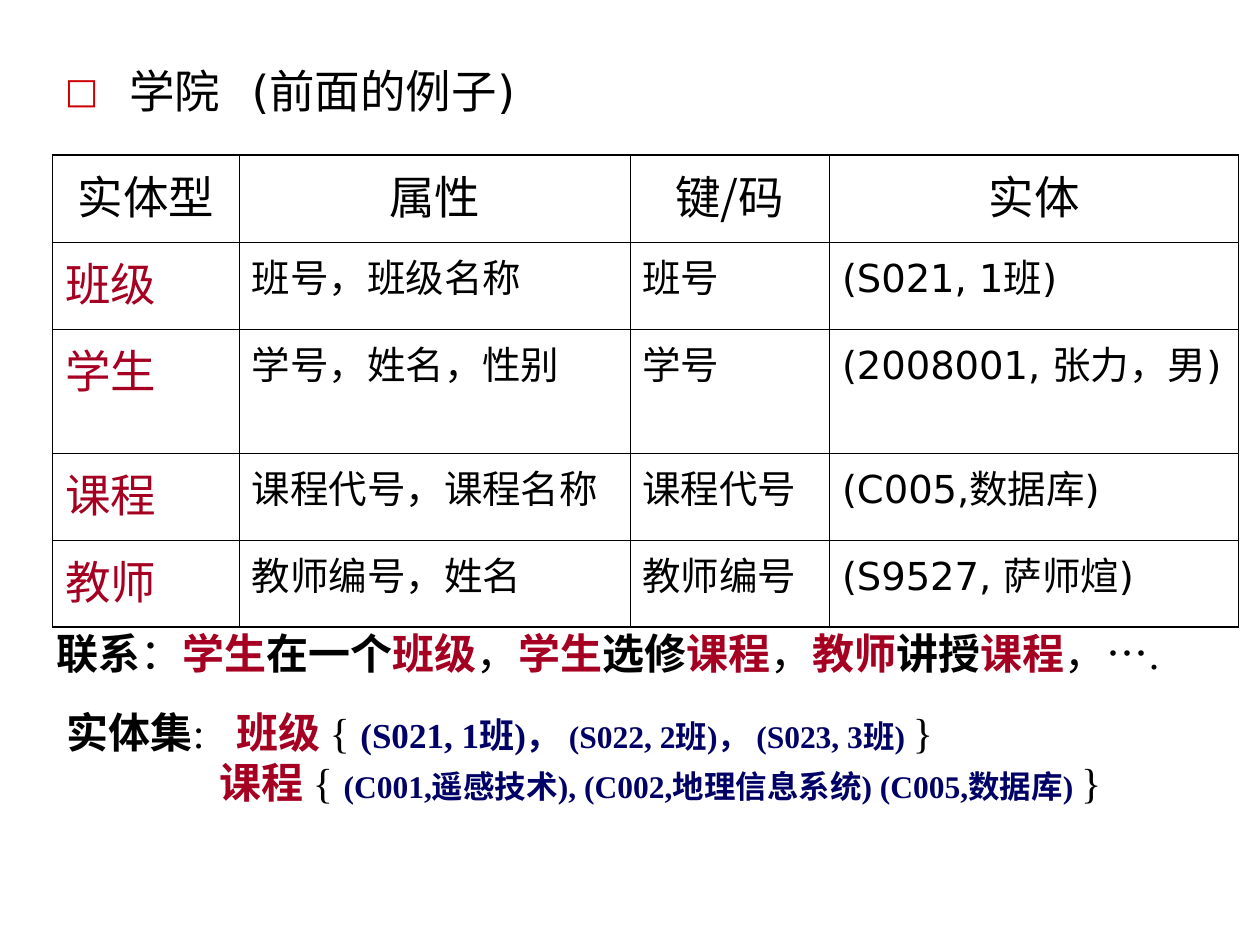
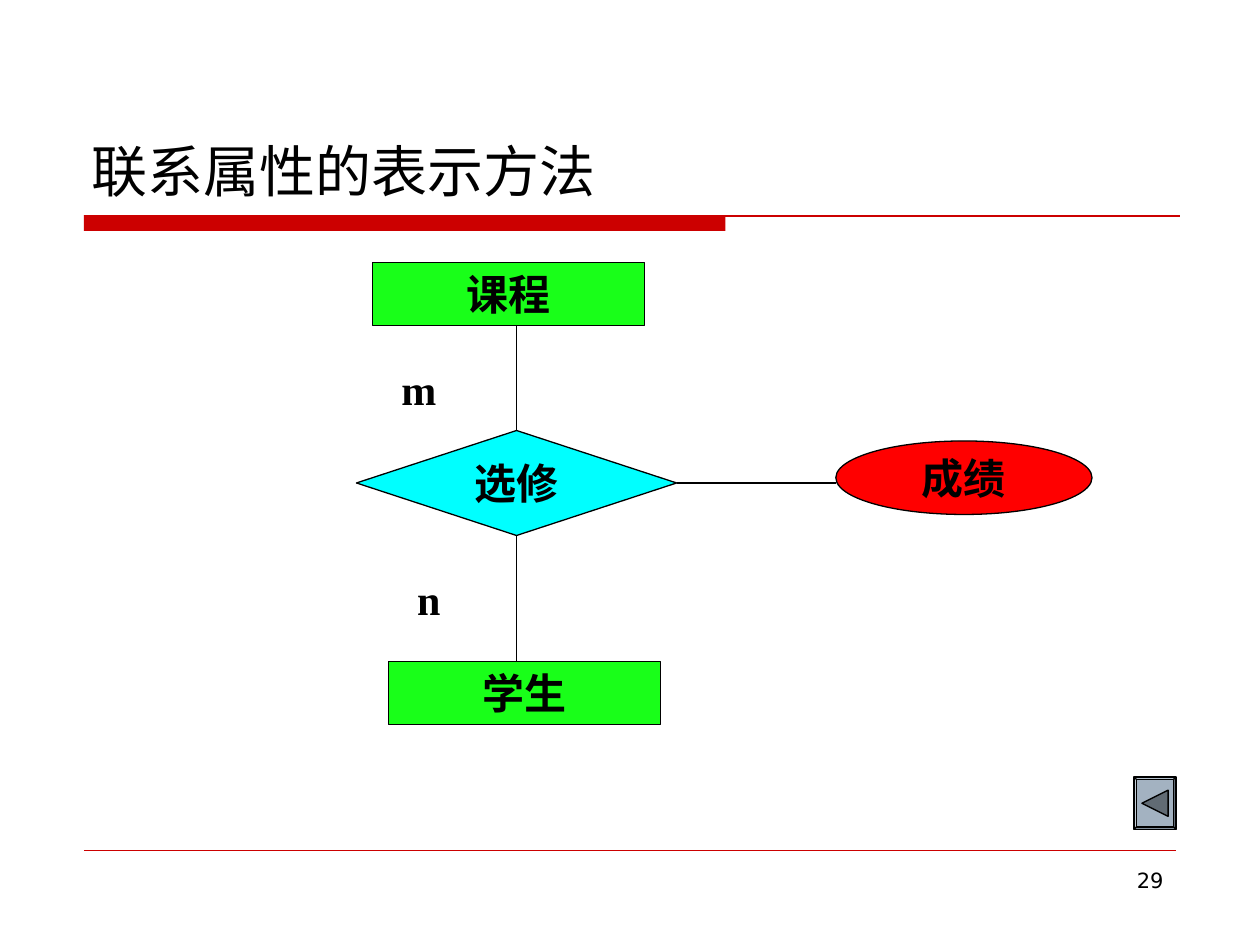
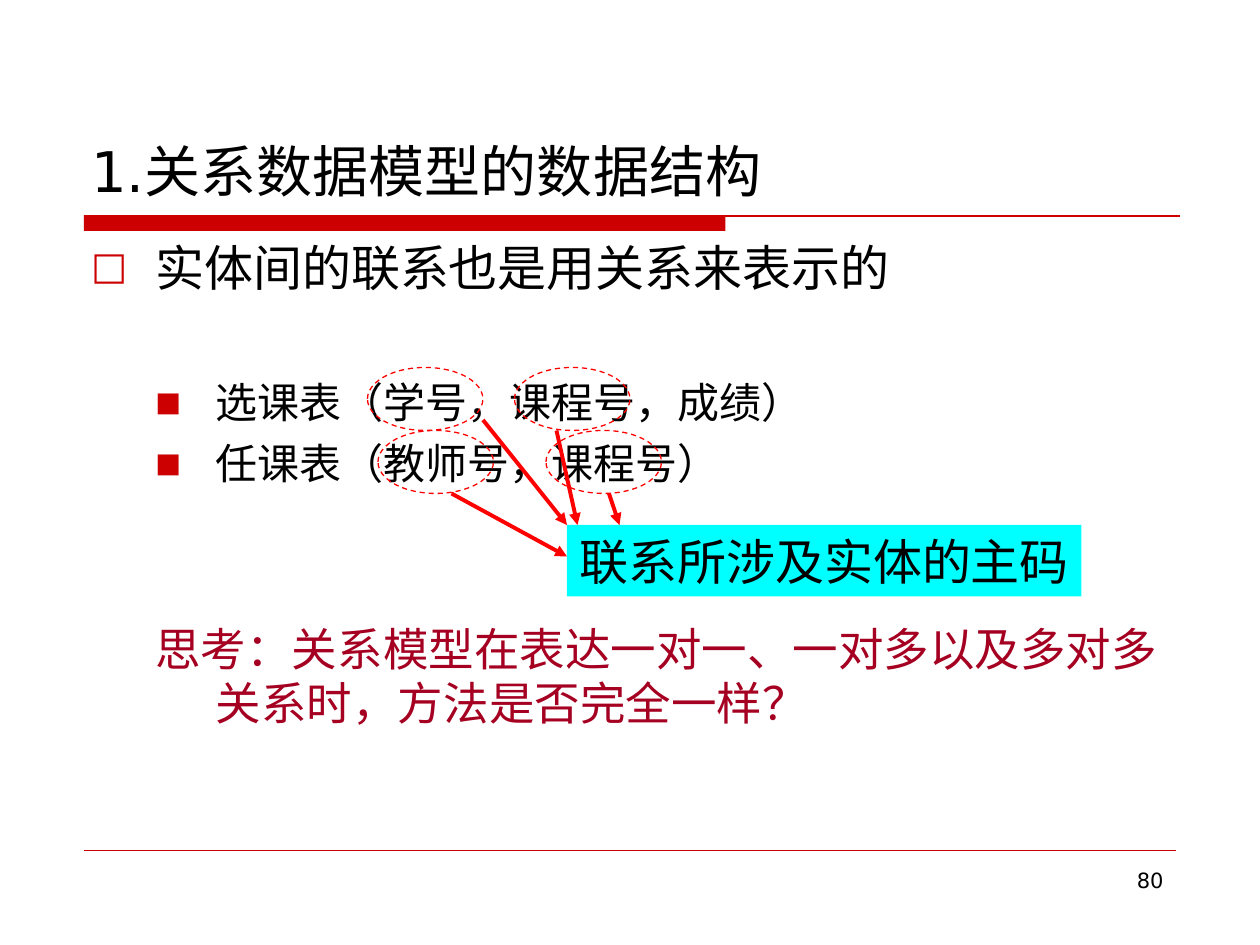
from dataclasses import dataclass
from typing import NamedTuple

from lxml.etree import SubElement
from pptx import Presentation
from pptx.dml.color import RGBColor
from pptx.enum.dml import MSO_LINE
from pptx.enum.shapes import MSO_CONNECTOR, MSO_SHAPE
from pptx.enum.text import MSO_ANCHOR, MSO_AUTO_SIZE, PP_ALIGN
from pptx.oxml import parse_xml
from pptx.oxml.ns import nsdecls, qn
from pptx.util import Emu, Inches, Pt

COLORS = {
    "black": "000000", "brand": "CC0000", "crimson": "A50021", "navy": "000066",
    "green": "00FF00", "cyan": "00FFFF", "red": "FF0000",
    "steel": "A3B2C1", "slate": "616B74",
}
SANS, SERIF, CJK = "DejaVu Sans", "Times New Roman", "Noto Sans CJK SC"
WIDTH, HEIGHT = Inches(10), Inches(7.5)
COLS, ROWS = 120, 90


class Box(NamedTuple):
    """A rectangle in grid columns and rows."""
    x: float
    y: float
    w: float
    h: float


class Run(NamedTuple):
    """A piece of text with one format."""
    text: str
    size: float = 24
    color: str = "black"
    bold: bool = False
    font: str = SERIF


class Bullet(NamedTuple):
    """A bullet sign and its size in percent of the text."""
    sign: str
    percent: int


@dataclass(frozen=True)
class Para:
    """A paragraph with its spacing, indents in inches and bullet."""
    runs: tuple[Run, ...]
    before: float = 0
    left: float = 0
    first: float = 0
    bullet: Bullet | None = None
    spacing: float = 1
    align: PP_ALIGN = PP_ALIGN.LEFT


@dataclass(frozen=True)
class Node:
    """A filled or outlined shape with an optional label."""
    kind: MSO_SHAPE
    box: Box
    fill: str | None
    line: str | None = "black"
    label: Run | None = None
    alpha: int = 100
    dashed: bool = False


class Arrow(NamedTuple):
    """A straight line between two grid points."""
    x1: float
    y1: float
    x2: float
    y2: float


HOLLOW, SOLID = Bullet("□", 78), Bullet("■", 65)
GAP = Run("　", 18)


def gx(n: float) -> Emu:
    """Turn columns into a length."""
    return Emu(round(WIDTH * n / COLS))


def gy(n: float) -> Emu:
    """Turn rows into a length."""
    return Emu(round(HEIGHT * n / ROWS))


def place(box: Box) -> tuple[Emu, Emu, Emu, Emu]:
    """Turn a grid box into left, top, width and height."""
    return gx(box.x), gy(box.y), gx(box.w), gy(box.h)


def rgb(name: str) -> RGBColor:
    """Look up a colour."""
    return RGBColor.from_string(COLORS[name])


def add_bullet(p, bullet: Bullet) -> None:
    """Give a paragraph a coloured bullet."""
    pPr = p._p.get_or_add_pPr()
    SubElement(SubElement(pPr, qn("a:buClr")), qn("a:srgbClr"), val=COLORS["brand"])
    SubElement(pPr, qn("a:buSzPct"), val=str(bullet.percent * 1000))
    SubElement(pPr, qn("a:buFont"), typeface=SANS)
    SubElement(pPr, qn("a:buChar"), char=bullet.sign)


def write(tf, paras: list[Para]) -> None:
    """Fill a text frame run by run."""
    for i, para in enumerate(paras):
        p = tf.add_paragraph() if i else tf.paragraphs[0]
        if para.bullet:
            add_bullet(p, para.bullet)
        pPr = p._p.get_or_add_pPr()
        pPr.set("marL", str(Inches(para.left)))
        pPr.set("indent", str(Inches(para.first)))
        p.alignment = para.align
        p.line_spacing = para.spacing
        p.space_before = Pt(para.before)
        for run in para.runs:
            r = p.add_run()
            r.text = run.text
            r.font.size, r.font.bold = Pt(run.size), run.bold
            r.font.color.rgb = rgb(run.color)
            r.font.name = run.font
            r.font._element.find(qn("a:latin")).addnext(
                parse_xml(f'<a:ea {nsdecls("a")} typeface="{CJK}"/>'))


def add_text(s, box: Box, paras: list[Para]) -> None:
    """Add a wrapping text box."""
    tf = s.shapes.add_textbox(*place(box)).text_frame
    tf.word_wrap = True
    write(tf, paras)


def add_node(s, node: Node):
    """Draw a preset shape."""
    sp = s.shapes.add_shape(node.kind, *place(node.box))
    paint(sp, node.fill, node.line)
    if node.alpha < 100:
        clr = sp._element.spPr.find(qn("a:solidFill"))[0]
        SubElement(clr, qn("a:alpha"), val=str(node.alpha * 1000))
    if node.dashed:
        sp.line.dash_style = MSO_LINE.DASH
    if node.label:
        tf = sp.text_frame
        tf.word_wrap = False
        tf.vertical_anchor = MSO_ANCHOR.MIDDLE
        write(tf, [Para((node.label,), align=PP_ALIGN.CENTER)])
    return sp


def paint(sp, fill: str | None, line: str | None) -> None:
    """Set the fill and line of a shape and drop its shadow."""
    sp.shadow.inherit = False
    if fill:
        sp.fill.solid()
        sp.fill.fore_color.rgb = rgb(fill)
    else:
        sp.fill.background()
    if line:
        sp.line.color.rgb = rgb(line)
        sp.line.width = Pt(0.75)
    else:
        sp.line.fill.background()


def add_line(s, a: Arrow, color: str = "black", width: float = 0.75, head: bool = False):
    """Draw a straight connector."""
    c = s.shapes.add_connector(MSO_CONNECTOR.STRAIGHT, gx(a.x1), gy(a.y1), gx(a.x2), gy(a.y2))
    c.line.color.rgb = rgb(color)
    c.line.width = Pt(width)
    if head:
        SubElement(c.line._get_or_add_ln(), qn("a:tailEnd"), type="triangle")
    SubElement(c._element.spPr, qn("a:effectLst"))
    return c


def titled_slide(prs, title: str, number: int):
    """Start a slide with title, band, footer rule and number."""
    s = prs.slides.add_slide(prs.slide_layouts[5])
    add_node(s, Node(MSO_SHAPE.RECTANGLE, Box(8, 20.5, 61.1, 1.5), "brand", None))
    add_line(s, Arrow(8, 20.55, 112.4, 20.55), "brand", 1)
    add_line(s, Arrow(8, 81, 112, 81), "brand", 0.25)
    add_text(s, Box(86, 82, 26, 6.25),
             [Para((Run(str(number), 12, font=SANS),), align=PP_ALIGN.RIGHT)])
    sp = s.shapes.title
    sp.left, sp.top, sp.width, sp.height = place(Box(7.5, 4, 105, 16))
    tf = sp.text_frame
    tf.auto_size = MSO_AUTO_SIZE.NONE
    tf.vertical_anchor = MSO_ANCHOR.BOTTOM
    write(tf, [Para((Run(title, 32, font=SANS),))])
    return s


def add_borders(cell, widths: dict[str, float]) -> None:
    """Line the sides of a table cell."""
    tcPr = cell._tc.get_or_add_tcPr()
    for i, (side, width) in enumerate(widths.items()):
        tcPr.insert(i, parse_xml(
            f'<a:ln{side} {nsdecls("a")} w="{Pt(width)}"><a:solidFill>'
            f'<a:srgbClr val="{COLORS["black"]}"/></a:solidFill></a:ln{side}>'))


def add_entity_table(s, rows: list[tuple[str, ...]]) -> None:
    """Draw the table of entity types."""
    widths, heights = (17.8, 37.2, 19, 39), (8.3, 8.3, 11.8, 8.3, 8.3)
    box = Box(5, 14.75, sum(widths), sum(heights))
    tbl = s.shapes.add_table(len(rows), len(widths), *place(box)).table
    tbl.first_row = tbl.horz_banding = False
    for col, width in zip(tbl.columns, widths):
        col.width = gx(width)
    for i, row in enumerate(rows):
        tbl.rows[i].height = gy(heights[i])
        for j, text in enumerate(row):
            cell = tbl.cell(i, j)
            cell.fill.background()
            if i == 0:
                para = Para((Run(text, 26, font=CJK),), align=PP_ALIGN.CENTER)
            elif j == 0:
                para = Para((Run(text, 26, "crimson", font=SANS),))
            else:
                para = Para((Run(text, 22, font=SANS),))
            write(cell.text_frame, [para])
            add_borders(cell, {
                "L": 0.45 if j else 1.08,
                "R": 0.75 if j == len(row) - 1 else 0.45,
                "T": 0.45 if i else 1.08,
                "B": 1.08 if i == len(rows) - 1 else 0.45,
            })


def entity(text: str) -> Run:
    """Make a bold crimson entity name."""
    return Run(text, color="crimson", bold=True)


def strong(text: str) -> Run:
    """Make a bold black run."""
    return Run(text, bold=True)


def member(text: str, size: float = 18) -> Run:
    """Make a bold navy list of entities."""
    return Run(text, size, "navy", True)


def college_slide(prs) -> None:
    """Build the college example."""
    s = prs.slides.add_slide(prs.slide_layouts[6])
    add_text(s, Box(5, 6, 109.5, 6), [
        Para((Run("学院", 26, font=SANS), GAP, Run("(前面的例子)", 26, font=SANS)),
             0, 0.51, -0.51, HOLLOW, 0.9)])
    add_entity_table(s, [
        ("实体型", "属性", "键/码", "实体"),
        ("班级", "班号，班级名称", "班号", "(S021, 1班)"),
        ("学生", "学号，姓名，性别", "学号", "(2008001, 张力，男)"),
        ("课程", "课程代号，课程名称", "课程代号", "(C005,数据库)"),
        ("教师", "教师编号，姓名", "教师编号", "(S9527, 萨师煊)"),
    ])
    add_text(s, Box(4.25, 59.2, 108.7, 6), [Para((
        strong("联系"), Run("："), entity("学生"), strong("在一个"), entity("班级"),
        Run("，"), entity("学生"), strong("选修"), entity("课程"), Run("，"),
        entity("教师"), strong("讲授"), entity("课程"), Run("，….")))])
    add_text(s, Box(5.2, 66.7, 108.7, 15.6), [
        Para((strong("实体集"), Run(":"), GAP, entity("班级 "), Run("{ "),
              member("(S021, 1班)， ", 20), member("(S022, 2班)， (S023, 3班) "),
              Run("}"))),
        Para((entity("课程 "), Run("{ "),
              member("(C001,遥感技术), (C002,地理信息系统) (C005,数据库) "),
              Run("}")), left=1.21),
    ])


def relation_slide(prs) -> None:
    """Build the diagram of a relationship attribute."""
    s = titled_slide(prs, "联系属性的表示方法", 29)
    course = Box(35.5, 25, 25.9, 6)
    student = Box(37, 63, 25.9, 6)
    grade = Box(79.6, 42, 24.4, 7)
    choose = Box(33.95, 41, 30.5, 10)
    for box, name in ((course, "课程"), (student, "学生")):
        add_node(s, Node(MSO_SHAPE.RECTANGLE, box, "green", label=strong(name), alpha=90))
    diamond = add_node(s, Node(MSO_SHAPE.DIAMOND, choose, "cyan", label=strong("选修")))
    add_node(s, Node(MSO_SHAPE.OVAL, grade, "red", label=strong("成绩")))
    mid_x, mid_y = choose.x + choose.w / 2, choose.y + choose.h / 2
    ends = ((0, mid_x, course.y + course.h), (2, mid_x, student.y), (3, grade.x, mid_y))
    for site, x, y in ends:
        add_line(s, Arrow(mid_x, mid_y, x, y)).begin_connect(diamond, site)
    for x, y, name in ((37.05, 34, "m"), (38.55, 54, "n")):
        add_text(s, Box(x, y, 7.5, 6), [Para((strong(name),))])

    button = add_node(s, Node(MSO_SHAPE.BEVEL, Box(108, 74, 4, 5), "steel"))
    button.adjustments[0] = 0.06
    fb = s.shapes.build_freeform(gx(108.75), gy(76.5))
    fb.add_line_segments([(gx(111.25), gy(75.25)), (gx(111.25), gy(77.75))])
    paint(fb.convert_to_shape(), "slate", "black")


def structure_slide(prs) -> None:
    """Build the slide on relations between entities."""
    s = titled_slide(prs, "1.关系数据模型的数据结构", 80)
    add_text(s, Box(7.5, 22, 104.5, 57), [
        Para((Run("实体间的联系也是用关系来表示的", 28, font=SANS),),
             0, 0.51, -0.51, HOLLOW),
        Para((Run("选课表（学号，课程号，成绩）", font=SANS),),
             46, 0.99, -0.48, SOLID),
        Para((Run("任课表（教师号，课程号）", font=SANS),),
             6, 0.99, -0.48, SOLID),
        Para((Run("思考：关系模型在表达一对一、一对多以及多对多关系时，方法是否完全一样？",
                  26, "crimson", font=SANS),), 76, 0.99, -0.48),
    ])
    add_node(s, Node(MSO_SHAPE.RECTANGLE, Box(54, 50, 49, 6.8), "cyan", None,
                     Run("联系所涉及实体的主码", 28, font="Arial")))
    for x, y in ((35, 35), (49, 35), (36, 41), (52, 41)):
        add_node(s, Node(MSO_SHAPE.OVAL, Box(x, y, 11, 6), None, "red", dashed=True))
    for arrow in (Arrow(46, 40, 54, 50), Arrow(53, 41, 55, 50),
                  Arrow(43, 47, 54, 53), Arrow(58, 47, 59, 50)):
        add_line(s, arrow, "red", 2.25, True)


def main() -> None:
    """Build and save the presentation."""
    prs = Presentation()
    prs.slide_width, prs.slide_height = WIDTH, HEIGHT
    college_slide(prs)
    relation_slide(prs)
    structure_slide(prs)
    prs.save("out.pptx")


if __name__ == "__main__":
    main()
